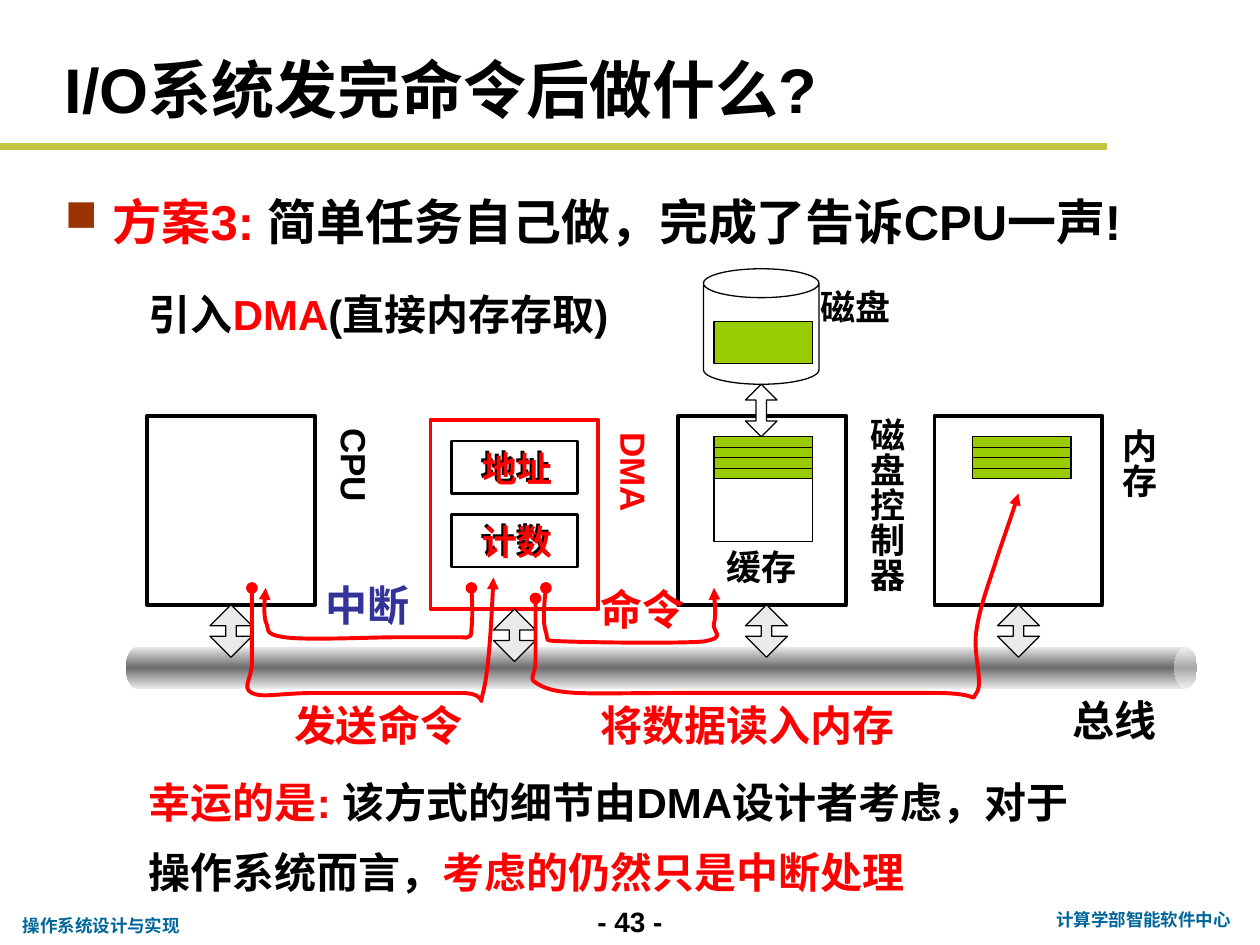
from copy import deepcopy

from lxml import etree
from pptx import Presentation
from pptx.dml.color import RGBColor
from pptx.enum.shapes import MSO_CONNECTOR, MSO_SHAPE
from pptx.enum.text import MSO_ANCHOR, PP_ALIGN
from pptx.oxml.ns import qn
from pptx.util import Inches, Pt

RECT, CAN, ARROW = MSO_SHAPE.RECTANGLE, MSO_SHAPE.CAN, MSO_SHAPE.UP_DOWN_ARROW
STRAIGHT = MSO_CONNECTOR.STRAIGHT
LEFT, CENTER = PP_ALIGN.LEFT, PP_ALIGN.CENTER
TOP, MIDDLE = MSO_ANCHOR.TOP, MSO_ANCHOR.MIDDLE

BLACK = RGBColor(0x00, 0x00, 0x00)
WHITE = RGBColor(0xFF, 0xFF, 0xFF)
RED = RGBColor(0xFF, 0x00, 0x00)
BLUE = RGBColor(0x33, 0x33, 0x99)
TEAL = RGBColor(0x00, 0x66, 0x99)
OLIVE = RGBColor(0xC1, 0xC4, 0x3C)
GREEN = RGBColor(0x99, 0xCC, 0x00)
PALE = RGBColor(0xEA, 0xEA, 0xEA)
STEEL = RGBColor(0x6C, 0x6C, 0x6C)

# The slide is a grid of 120 columns by 90 rows
UNIT = Inches(10) // 120

# Device frames: column, row, outline, label, label column and row, arrow column
DEVICES = [
    (14, 39.6, BLACK, "CPU", 30, 39.6, 20),
    (41, 40, RED, "DMA", 56.6, 40, 47),
    (64.6, 39.6, BLACK, "磁盘控制器", 80.6, 38.6, 71),
    (89, 39.6, BLACK, "内存", 104.6, 39.6, 95),
]
REGISTERS = [("地址", 42), ("计数", 49)]

# Signal curves: a start, then two control points and an end for each piece
INTERRUPT = [
    (44.9, 56), (45, 57.6), (45, 59.2), (44.9, 59.9),
    (44.9, 60.7), (44.8, 60.6), (44.5, 60.7),
    (44.3, 60.8), (44.8, 60.7), (43.7, 60.7),
    (42.5, 60.7), (40.7, 60.7), (37.9, 60.7),
    (35.2, 60.7), (29.2, 61), (27.1, 60.7),
    (25, 60.4), (25.7, 59.9), (25.3, 59.2),
    (25.1, 58.3), (25.2, 57.1), (25.3, 56),
]
SEND = [
    (24, 56), (24, 58.7), (24, 61.3), (24, 63),
    (24, 64.7), (23, 65.5), (24, 66),
    (25, 66.5), (26.6, 66), (30, 66),
    (33.4, 66), (41.3, 66), (44, 66),
    (46.7, 66), (45.5, 67.8), (46, 66),
    (46.5, 64.2), (46.8, 59.6), (47, 55),
]
COMMAND = [
    (52, 56), (51.8, 57.7), (51.7, 59.4), (52, 60.2),
    (52.3, 61.1), (51.5, 61), (54, 61.1),
    (56.5, 61.2), (64.7, 61.3), (67, 61.1),
    (69.3, 60.7), (67.8, 60.2), (68, 59.4),
    (68.2, 58.6), (68, 56.5), (68, 56),
]
READ = [
    (51, 57), (51, 59.3), (51, 61.7), (51, 63),
    (51, 64.3), (50.3, 64.6), (51, 65),
    (51.7, 65.5), (52.7, 65.9), (55, 66),
    (57.3, 66.1), (59.3, 66), (65, 66),
    (70.7, 66), (84.4, 66), (89, 66),
    (93.7, 66), (92.3, 67), (93, 66),
    (93.7, 65), (92.6, 62.2), (93, 60),
    (93.3, 57.8), (94.3, 55.2), (95, 53),
    (95.7, 50.9), (96.4, 49), (97, 47),
]


def grid(*cells):
    return [round(cell * UNIT) for cell in cells]


def child(parent, tag, **attributes):
    return etree.SubElement(parent, qn(tag), attributes)


def add_text(slide, area, runs, size, font="Arial", align=LEFT, anchor=TOP,
             wrap=True, vertical=False, spacing=None, margin=0, bullet=False):
    """Bold one-paragraph text; runs are (text, colour) pairs."""
    frame = slide.shapes.add_textbox(*grid(*area)).text_frame
    frame.word_wrap = wrap
    frame.vertical_anchor = anchor
    if vertical:
        frame._txBody.bodyPr.set("vert", "eaVert")
    paragraph = frame.paragraphs[0]
    paragraph.alignment = align
    if spacing:
        paragraph.line_spacing = spacing
    properties = paragraph._p.get_or_add_pPr()
    if margin:
        properties.set("marL", str(Inches(margin)))
    if bullet:
        properties.set("indent", str(-Inches(margin)))
        child(child(properties, "a:buClr"), "a:srgbClr", val="993300")
        child(properties, "a:buSzPct", val="90000")
        child(properties, "a:buChar", char="■")
    for text, colour in runs:
        run = paragraph.add_run()
        run.text = text
        run.font.name, run.font.size, run.font.bold = font, Pt(size), True
        run.font.color.rgb = colour


def add_figure(slide, kind, area, fill, outline=BLACK, width=0.75, adjust=()):
    figure = slide.shapes.add_shape(kind, *grid(*area))
    figure.shadow.inherit = False
    for index, value in enumerate(adjust):
        figure.adjustments[index] = value
    figure.fill.solid()
    figure.fill.fore_color.rgb = fill
    figure.line.color.rgb = outline
    figure.line.width = Pt(width)
    return figure


def add_bus(slide):
    bus = add_figure(slide, CAN, (61, 12.6, 4, 102), PALE, adjust=[0.54])
    bus.rotation = 90
    bus.line.fill.background()
    bus.fill.gradient()
    bus.fill.gradient_angle = 0
    first, last = bus.fill.gradient_stops
    first.color.rgb, first.position = PALE, 0
    last.color.rgb, last.position = STEEL, 0.5
    stops = bus._element.spPr.find(".//" + qn("a:gsLst"))
    closing = deepcopy(stops[0])
    closing.set("pos", "100000")
    stops.append(closing)


def add_signal(slide, points):
    """Red curve from a dot to an arrowhead."""
    tenths = [(round(x * 10), round(y * 10)) for x, y in points]
    builder = slide.shapes.build_freeform(*tenths[0], scale=UNIT / 10)
    builder.add_line_segments(tenths[1:], close=False)
    signal = builder.convert_to_shape()
    signal.shadow.inherit = False
    signal.fill.background()
    signal.line.color.rgb = RED
    signal.line.width = Pt(2.25)
    # Every three straight steps become one Bezier piece
    path = signal._element.spPr.find(".//" + qn("a:path"))
    steps = path.findall(qn("a:lnTo"))
    for start in range(0, len(steps), 3):
        piece = child(path, "a:cubicBezTo")
        for step in steps[start:start + 3]:
            piece.append(step[0])
            path.remove(step)
    ends = signal.line._get_or_add_ln()
    child(ends, "a:headEnd", type="oval")
    child(ends, "a:tailEnd", type="triangle")


def add_rule(slide):
    rule = slide.shapes.add_connector(STRAIGHT, *grid(0, 14, 105.4, 14))
    rule.line.color.rgb = OLIVE
    rule.line.width = Pt(4)
    child(rule._element.spPr, "a:effectLst")


def add_frame_texts(slide):
    add_text(slide, (54, 85.6, 12, 4.4), [("- 43 -", BLACK)], 16, align=CENTER)
    add_text(slide, (99, 86, 19.8, 3.2), [("计算学部智能软件中心", TEAL)], 10,
             font="Roboto", align=CENTER)
    add_text(slide, (1, 86.6, 17.5, 3.2), [("操作系统设计与实现", TEAL)], 10,
             font="Roboto", wrap=False)
    add_text(slide, (5, 4, 103, 8.9), [("I/O系统发完命令后做什么?", BLACK)], 36,
             anchor=MIDDLE)
    add_text(slide, (5, 16, 109, 11.4),
             [("方案3: ", RED), ("简单任务自己做，完成了告诉CPU一声!", BLACK)], 28,
             spacing=1.3, margin=0.38, bullet=True)
    add_text(slide, (7, 25, 96, 7.9),
             [("引入", BLACK), ("DMA", RED), ("(直接内存存取)", BLACK)], 24,
             spacing=1.4, margin=0.5)
    add_text(slide, (7, 71.4, 96, 14.6),
             [("幸运的是: ", RED),
              ("该方式的细节由DMA设计者考虑，对于操作系统而言，", BLACK),
              ("考虑的仍然只是中断处理", RED)], 24, spacing=1.4, margin=0.5)


def add_devices(slide):
    for column, row, outline, name, name_column, name_row, arrow in DEVICES:
        add_figure(slide, RECT, (column, row, 16, 18), WHITE, outline, 2.25)
        add_figure(slide, ARROW, (arrow, row + 18, 4, 5), PALE, adjust=[0.5, 0.25])
        add_text(slide, (name_column, name_row, 6.4, 21), [(name, outline)], 20,
                 vertical=True)
    # DMA registers, each name doubled in black and red
    for name, row in REGISTERS:
        add_figure(slide, RECT, (43, row, 12, 5), WHITE, width=1.5)
        add_text(slide, (44.6, row - 0.2, 11, 5.2), [(name, BLACK)], 20)
        add_text(slide, (44.8, row, 20, 5.2), [(name, RED)], 20)


def add_storage(slide):
    add_figure(slide, CAN, (67, 25.6, 11, 11), WHITE, adjust=[0.25])
    add_figure(slide, RECT, (68, 30.6, 9.4, 4), GREEN)
    add_text(slide, (76, 26.6, 11, 5.2), [("磁盘", BLACK)], 20, align=CENTER)
    add_figure(slide, RECT, (68, 41.6, 9.4, 10), WHITE)
    add_text(slide, (68, 51.4, 11, 5.2), [("缓存", BLACK)], 20)
    add_figure(slide, ARROW, (71, 36.6, 3, 5), WHITE, adjust=[0.5, 0.33])
    # Data blocks in the buffer and in memory
    for column in (68, 92.6):
        for block in range(4):
            add_figure(slide, RECT, (column, 41.6 + block, 9.4, 1), GREEN)


def add_signals(slide):
    for points in (INTERRUPT, SEND, COMMAND, READ):
        add_signal(slide, points)
    add_text(slide, (29.8, 54.6, 13.2, 6), [("中断", BLUE)], 24)
    add_text(slide, (19, 66, 34, 6), [("发送命令", RED)], 24, align=CENTER)
    add_text(slide, (56, 55, 12, 6), [("命令", RED)], 24)
    add_text(slide, (56, 66, 34, 6), [("将数据读入内存", RED)], 24)
    add_text(slide, (101, 65.6, 16, 6), [("总线", BLACK)], 24)


def main():
    deck = Presentation()
    deck.slide_width, deck.slide_height = grid(120, 90)
    slide = deck.slides.add_slide(deck.slide_layouts[6])
    add_rule(slide)
    add_frame_texts(slide)
    add_bus(slide)
    add_devices(slide)
    add_storage(slide)
    add_signals(slide)
    deck.save("out.pptx")


if __name__ == "__main__":
    main()
